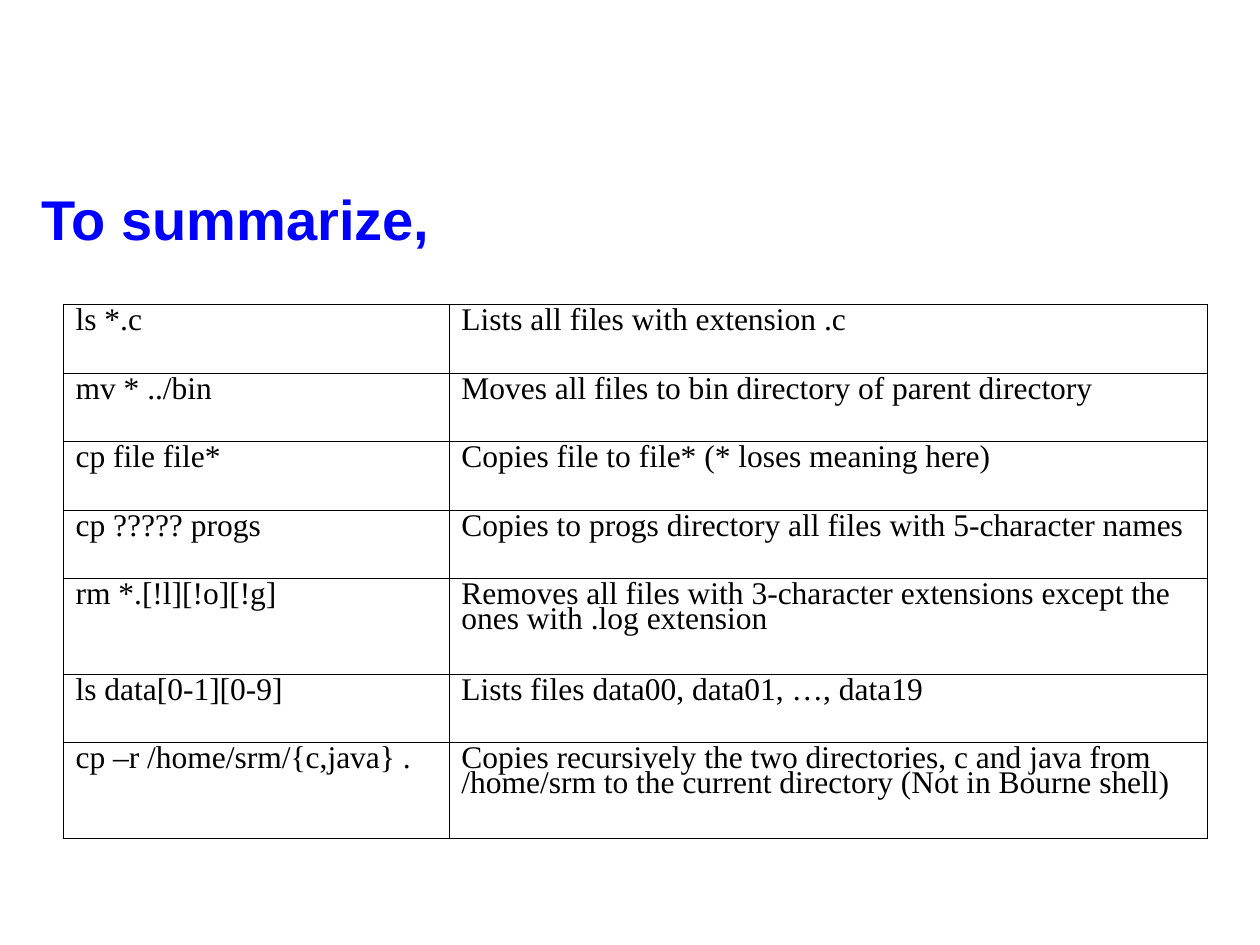
from lxml import etree
from pptx import Presentation
from pptx.dml.color import RGBColor
from pptx.enum import text as tx
from pptx.oxml import ns
from pptx.util import Pt

BLUE = RGBColor(0, 0, 255)
BLACK = RGBColor(0, 0, 0)
LINE = Pt(0.06)
COLS = [220.5, 433.5]
SHORT, TALL = 39.15, 54.6
ROWS = [
    ("ls *.c", "Lists all files with extension .c", SHORT),
    ("mv * ../bin", "Moves all files to bin directory of parent directory", SHORT),
    ("cp file file*", "Copies file to file* (* loses meaning here)", SHORT),
    ("cp ????? progs", "Copies to progs directory all files with 5-character names", SHORT),
    ("rm *.[!l][!o][!g]", "Removes all files with 3-character extensions except the "
     "ones with .log extension", TALL),
    ("ls data[0-1][0-9]", "Lists files data00, data01, …, data19", SHORT),
    ("cp –r /home/srm/{c,java} .", "Copies recursively the two directories, c and java from "
     "/home/srm to the current directory (Not in Bourne shell)", TALL),
]


def style(par, face, size, color, bold=False):
    par.alignment = tx.PP_ALIGN.LEFT
    for run in par.runs:
        font = run.font
        font.name, font.size, font.bold = face, Pt(size), bold
        font.color.rgb = color


def border(cell):
    props = cell._tc.get_or_add_tcPr()
    for side in ("lnL", "lnR", "lnT", "lnB"):
        line = etree.SubElement(props, ns.qn("a:" + side), w=str(LINE))
        fill = etree.SubElement(line, ns.qn("a:solidFill"))
        etree.SubElement(fill, ns.qn("a:srgbClr"), val=str(BLACK))


def add_title(slide, left, top, width, height):
    title = slide.shapes.title
    title.left, title.top = Pt(left), Pt(top)
    title.width, title.height = Pt(width), Pt(height)
    frame = title.text_frame
    frame.text = "To summarize,"
    frame.word_wrap = False
    frame.auto_size = tx.MSO_AUTO_SIZE.SHAPE_TO_FIT_TEXT
    frame.vertical_anchor = tx.MSO_ANCHOR.MIDDLE
    style(frame.paragraphs[0], "Arial", 32, BLUE, True)


def fill_cell(cell, words):
    cell.text = words
    par = cell.text_frame.paragraphs[0]
    par.line_spacing = 0.71
    style(par, "Times New Roman", 18, BLACK)
    border(cell)
    cell.fill.background()


def add_grid(slide, left, top):
    high = sum(row[-1] for row in ROWS)
    frame = slide.shapes.add_table(len(ROWS), len(COLS), Pt(left), Pt(top),
                                   Pt(sum(COLS)), Pt(high))
    table = frame.table
    table.first_row = table.horz_banding = False
    for col, width in zip(table.columns, COLS):
        col.width = Pt(width)
    for row, (code, note, tall) in zip(table.rows, ROWS):
        row.height = Pt(tall)
        for cell, words in zip(row.cells, (code, note)):
            fill_cell(cell, words)


def main():
    deck = Presentation()
    deck.slide_width, deck.slide_height = Pt(720), Pt(540)
    slide = deck.slides.add_slide(deck.slide_layouts[5])
    add_title(slide, 16.5, 101.5, 238.5, 46)
    add_grid(slide, 36, 174)
    deck.save("out.pptx")


if __name__ == "__main__":
    main()
